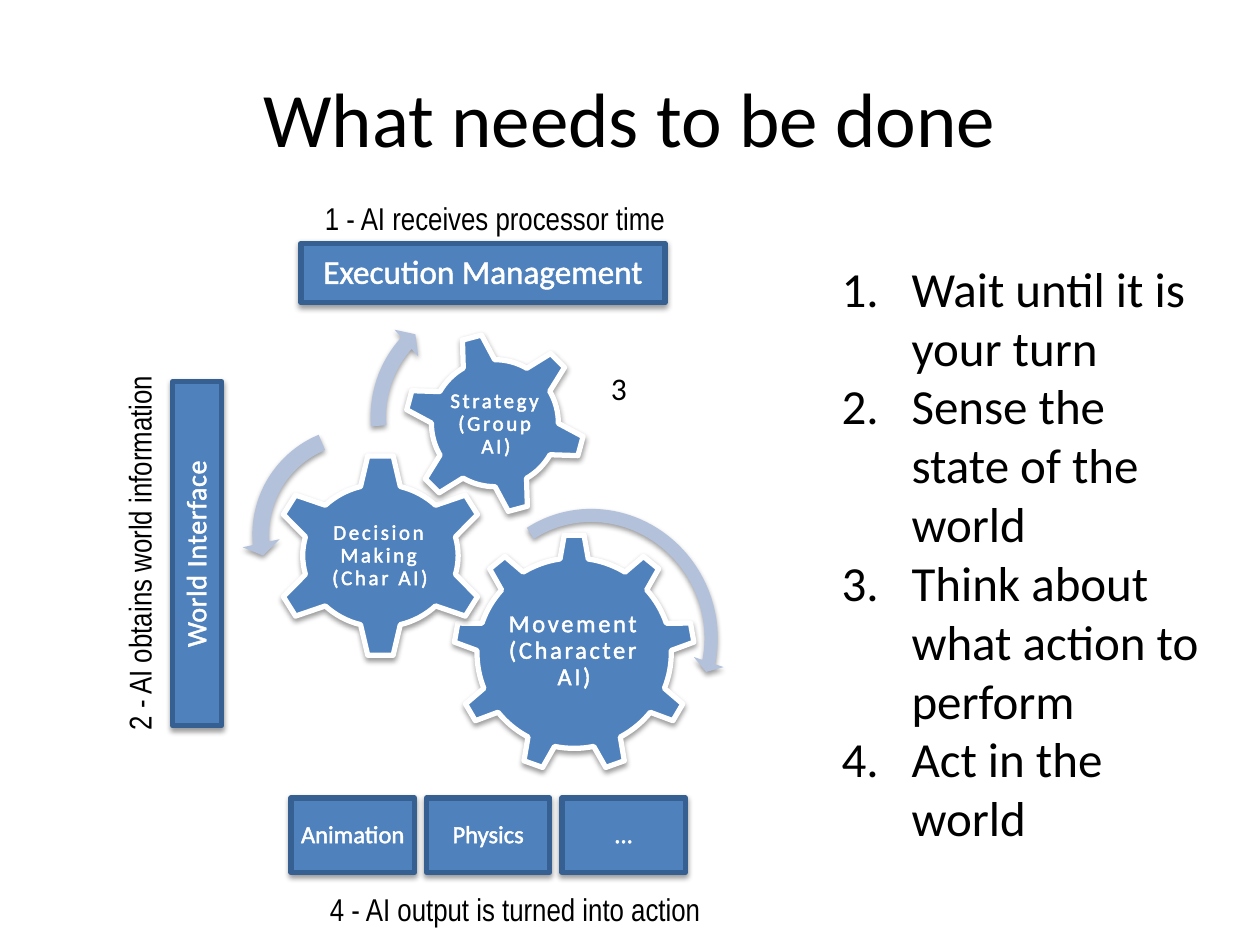
from lxml.etree import SubElement
from pptx import Presentation
from pptx.dml.color import RGBColor
from pptx.enum.shapes import MSO_SHAPE
from pptx.enum.text import MSO_ANCHOR, MSO_AUTO_SIZE, PP_ALIGN
from pptx.oxml.ns import qn
from pptx.util import Pt

BLUE, DARK_BLUE, PALE_BLUE = "4F81BD", "376092", "B3C1DB"
WHITE, BLACK = "FFFFFF", "000000"


def color(hex_string):
    return RGBColor.from_string(hex_string)


class SlideBuilder:
    """Holds the text style and the slide being drawn; lengths are in points."""

    body_font = "Calibri"
    caption_font = "Arial Narrow"

    def __init__(self, slide):
        self.slide = slide

    def style(self, paragraph, size, text_color, font_name=None):
        paragraph.font.name = font_name or self.body_font
        paragraph.font.size = Pt(size)
        paragraph.font.color.rgb = color(text_color)

    def text(self, box, content, size, align=PP_ALIGN.LEFT,
             anchor=MSO_ANCHOR.TOP):
        """Add black wrapping text."""
        shape = self.slide.shapes.add_textbox(*map(Pt, box))
        frame = shape.text_frame
        frame.word_wrap = True
        frame.vertical_anchor = anchor
        paragraph = frame.paragraphs[0]
        paragraph.text = content
        paragraph.alignment = align
        self.style(paragraph, size, BLACK)

    def caption(self, box, content, rotation=0):
        shape = self.slide.shapes.add_textbox(*map(Pt, box))
        shape.rotation = rotation
        frame = shape.text_frame
        frame.word_wrap = False
        frame.auto_size = MSO_AUTO_SIZE.SHAPE_TO_FIT_TEXT
        paragraph = frame.paragraphs[0]
        paragraph.text = content
        self.style(paragraph, 18, BLACK, self.caption_font)

    def numbered_list(self, box, items, size):
        frame = self.slide.shapes.add_textbox(*map(Pt, box)).text_frame
        frame.word_wrap = True
        for index, item in enumerate(items):
            paragraph = frame.add_paragraph() if index else frame.paragraphs[0]
            paragraph.text = item
            properties = paragraph._p.get_or_add_pPr()
            properties.set("marL", str(Pt(76)))
            properties.set("indent", str(Pt(-40)))
            SubElement(properties, qn("a:buFont"), typeface="+mj-lt")
            SubElement(properties, qn("a:buAutoNum"), type="arabicPeriod")
            self.style(paragraph, size, BLACK)

    def shape(self, kind, box, fill, line=None, rotation=0, adjustments=()):
        """Add a preset shape with the soft shadow of the diagram."""
        shape = self.slide.shapes.add_shape(kind, *map(Pt, box))
        shape.rotation = rotation
        for index, value in enumerate(adjustments):
            shape.adjustments[index] = value
        shape.fill.solid()
        shape.fill.fore_color.rgb = color(fill)
        if line:
            shape.line.color.rgb = color(line)
            shape.line.width = Pt(3)
        else:
            shape.line.fill.background()
        shape.shadow.inherit = False
        effects = shape._element.spPr.find(qn("a:effectLst"))
        shadow = SubElement(effects, qn("a:outerShdw"), blurRad=str(Pt(3.1)),
                            dist=str(Pt(1.6)), dir="5400000", rotWithShape="0")
        black = SubElement(shadow, qn("a:srgbClr"), val=BLACK)
        SubElement(black, qn("a:alpha"), val="38000")
        return shape

    def label(self, shape, content, size, inset, spacing=0):
        """Write centred white outlined text into a shape or text box."""
        frame = shape.text_frame
        frame.word_wrap = True
        frame.vertical_anchor = MSO_ANCHOR.MIDDLE
        frame.margin_left = frame.margin_right = Pt(inset)
        frame.margin_top = frame.margin_bottom = Pt(inset)
        paragraph = frame.paragraphs[0]
        paragraph.alignment = PP_ALIGN.CENTER
        paragraph.line_spacing = 0.9
        run = paragraph.add_run()
        run.text = content
        properties = run._r.get_or_add_rPr()
        properties.set("spc", str(round(spacing * 100)))
        outline = SubElement(properties, qn("a:ln"), w=str(Pt(1.45)))
        fill = SubElement(outline, qn("a:solidFill"))
        SubElement(fill, qn("a:srgbClr"), val=WHITE)
        self.style(paragraph, size, WHITE)

    def block(self, box, content, size, inset, rotation=0, spacing=0):
        shape = self.shape(MSO_SHAPE.RECTANGLE, box, BLUE, DARK_BLUE, rotation)
        self.label(shape, content, size, inset, spacing)

    def gear(self, kind, box, label_box, content, size, rotation=0):
        """Add a gear whose label stays upright when the gear is turned."""
        self.shape(kind, box, BLUE, WHITE, rotation)
        label_shape = self.slide.shapes.add_textbox(*map(Pt, label_box))
        self.label(label_shape, content, size, 1.5, 1.5)

    def arrow(self, kind, box, adjustments, rotation=0):
        self.shape(kind, box, PALE_BLUE, None, rotation, adjustments)


def main():
    presentation = Presentation()
    presentation.slide_width, presentation.slide_height = Pt(720), Pt(540)
    slide = presentation.slides.add_slide(presentation.slide_layouts[6])
    builder = SlideBuilder(slide)

    builder.text((36, 21.6, 648, 90), "What needs to be done", 44,
                 PP_ALIGN.CENTER, MSO_ANCHOR.MIDDLE)

    builder.block((172, 139, 208, 34), "Execution Management", 19, 6)
    builder.block((14.4, 302.4, 196.6, 28), "World Interface", 16, 5, 270, 0.4)

    builder.caption((178.6, 110, 211, 29), "1 - AI receives processor time")
    builder.caption((181.5, 505, 230, 29),
                    "4 - AI output is turned into action")
    builder.caption((-32.4, 298, 224, 29),
                    "2 - AI obtains world information", 270)

    builder.gear(MSO_SHAPE.GEAR_9, (259, 305.3, 138.2, 136),
                 (286.6, 337, 82.8, 69.8), "Movement (Character AI)", 14)
    builder.gear(MSO_SHAPE.GEAR_6, (155.5, 259.2, 123.8, 116.6),
                 (185.8, 288.7, 62.6, 57.6), "Decision Making (Char AI)", 12)
    builder.gear(MSO_SHAPE.GEAR_6, (231, 190, 103.7, 103.7),
                 (254.2, 213.1, 58.3, 58.3), "Strategy (Group AI)", 12, 345)

    builder.arrow(MSO_SHAPE.CIRCULAR_ARROW, (265, 285, 149.8, 154.8),
                  (0.05, 2.99, 24.92, 159.14, 0.06), 332.2)
    builder.arrow(MSO_SHAPE.LEFT_CIRCULAR_ARROW, (138.2, 237.6, 135.4, 135.4),
                  (0.07, 4.3, 104.89, 148.38, 0.08))
    builder.arrow(MSO_SHAPE.CIRCULAR_ARROW, (206, 165, 146, 146),
                  (0.06, 3.94, 133.14, 105.08, 0.07))

    for index, output in enumerate(("Animation", "Physics", "...")):
        builder.block((166.3 + index * 77.4, 456, 70.5, 42.5), output, 14, 4)

    builder.numbered_list((437.8, 144, 257.8, 368.6), (
        "Wait until it is your turn",
        "Sense the state of the world",
        "Think about what action to perform",
        "Act in the world",
    ), 28)
    builder.text((342, 207.4, 36, 29), "3", 18)

    presentation.save("out.pptx")


if __name__ == "__main__":
    main()
